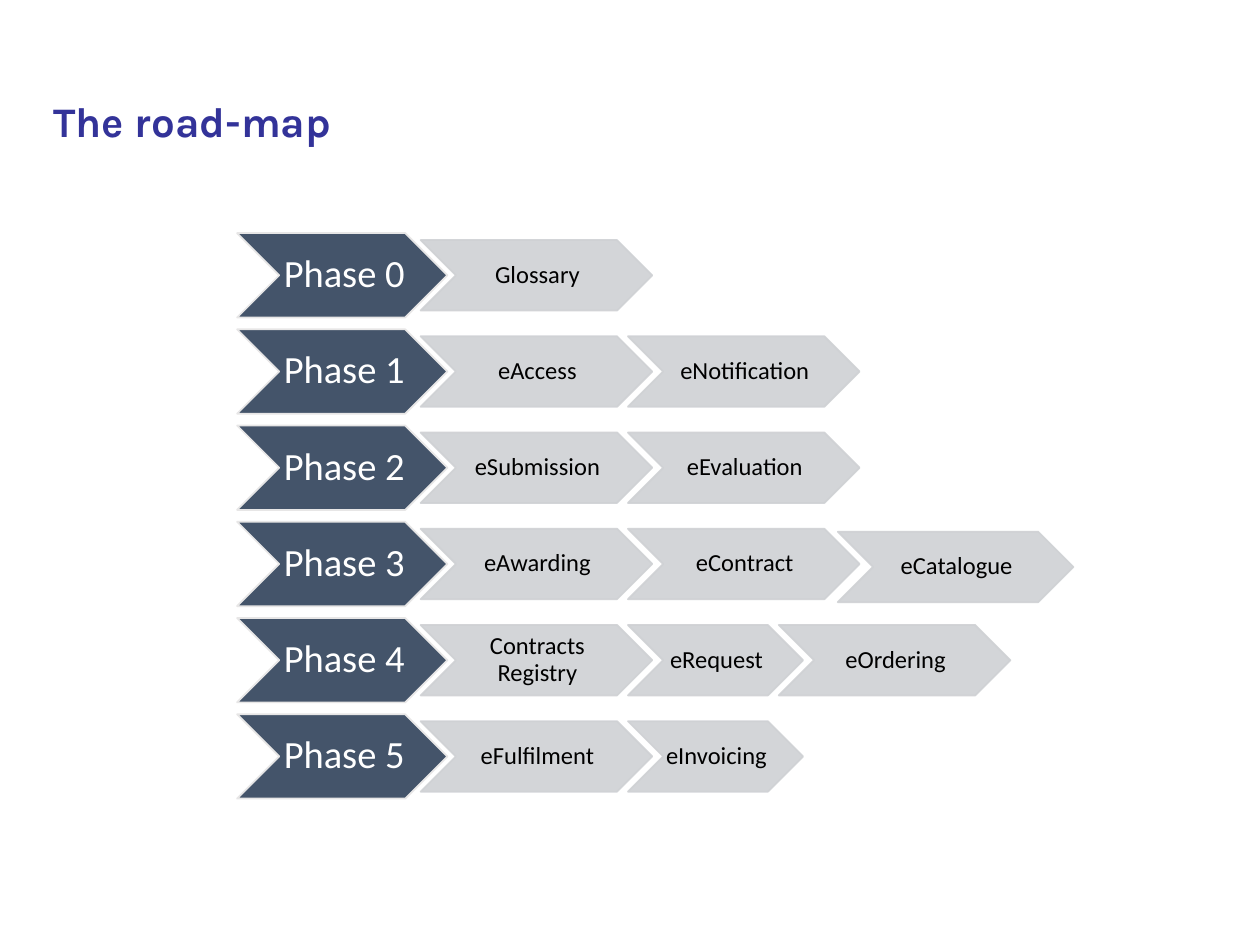
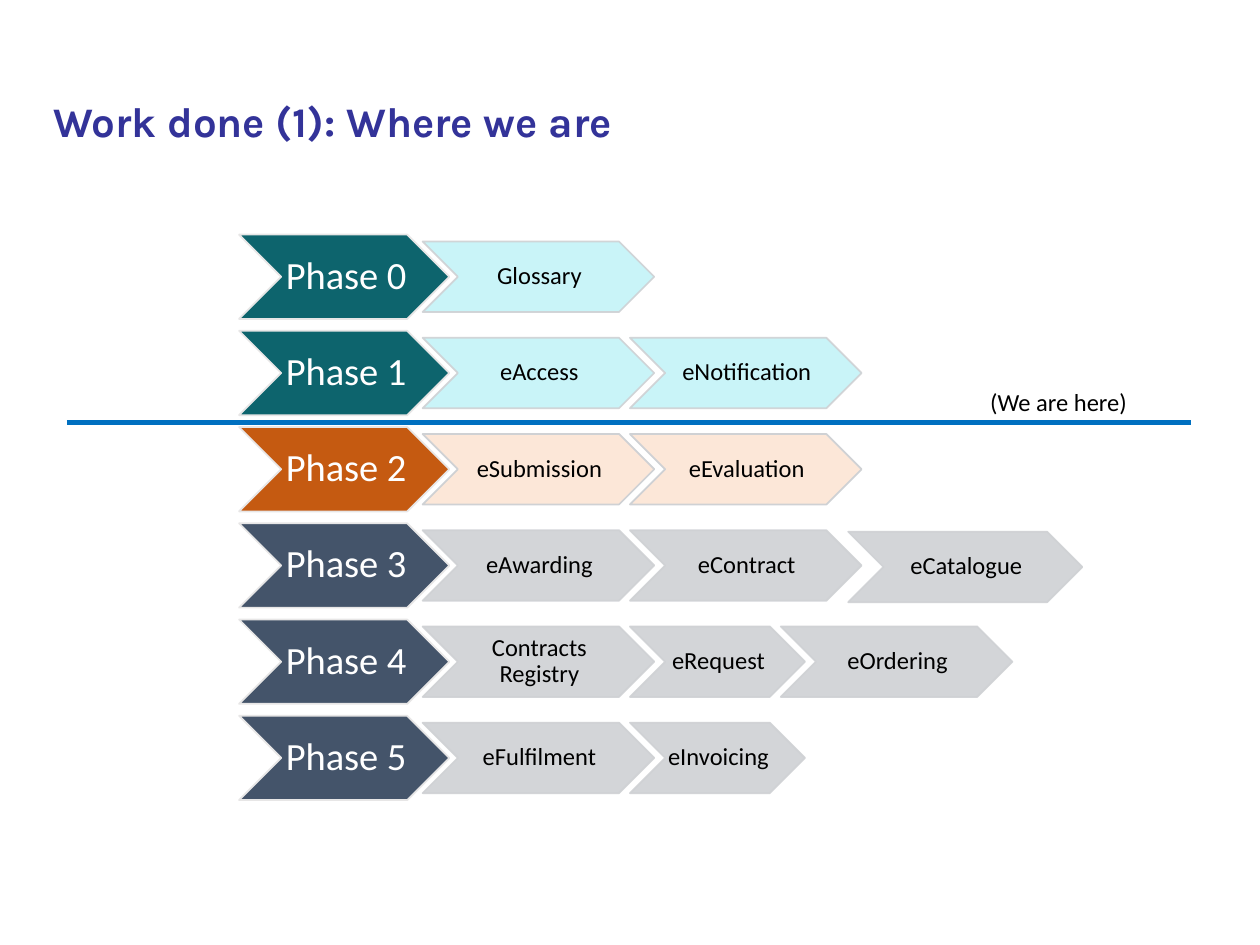
from dataclasses import dataclass

from lxml import etree
from pptx import Presentation
from pptx import util as u
from pptx.dml.color import RGBColor
from pptx.enum import shapes, text
from pptx.oxml.ns import qn


@dataclass(frozen=True)
class Tone:
    """Colours of one road-map row."""
    phase: str
    step: str
    step_opacity: int = 90


@dataclass(frozen=True)
class Theme:
    title_font: str = "Karla"
    body_font: str = "Calibri"
    title_size: int = 24
    phase_size: int = 22
    step_size: int = 14
    title: str = "333399"
    dark: str = "000000"
    light: str = "FFFFFF"
    phase_line: str = "E7E6E6"
    step_line: str = "CFD1D4"
    marker: str = "0070C0"
    planned: Tone = Tone("44546A", "CFD1D4")
    done: Tone = Tone("0D646D", "C4F3F8")
    current: Tone = Tone("C55A11", "FCE7D8", 100)


THEME = Theme()

# Road-map grid, in centimetres
ROW_PITCH = 1.94
PHASE_WIDTH, PHASE_HEIGHT = 4.24, 1.7
STEP_WIDTH, SHORT_STEP_WIDTH, STEP_HEIGHT = 4.67, 3.53, 1.42
STEP_START = 3.7       # from the left of the phase to its first step
STEP_OVERLAP = 0.49
STEP_DROP = (PHASE_HEIGHT - STEP_HEIGHT) / 2

PHASES = [
    ["Glossary"],
    ["eAccess", "eNotification"],
    ["eSubmission", "eEvaluation"],
    ["eAwarding", "eContract", "eCatalogue"],
    ["Contracts Registry", "eRequest", "eOrdering"],
    ["eFulfilment", "eInvoicing"],
]
SHORT_STEPS = {"eRequest", "eInvoicing"}


def write(shape, words, *, size, color, font=THEME.body_font, bold=False,
          align=None, anchor=text.MSO_ANCHOR.TOP, spacing=None,
          margins=(0, 0, 0, 0), wrap=True):
    """Put one formatted paragraph in a shape; margins are left, top, right, bottom."""
    frame = shape.text_frame
    frame.word_wrap = wrap
    frame.vertical_anchor = anchor
    (frame.margin_left, frame.margin_top,
     frame.margin_right, frame.margin_bottom) = map(u.Cm, margins)
    paragraph = frame.paragraphs[0]
    paragraph.alignment = align
    paragraph.line_spacing = spacing
    run = paragraph.add_run()
    run.text = words
    run.font.name = font
    run.font.size = u.Pt(size)
    run.font.bold = bold
    run.font.color.rgb = RGBColor.from_string(color)


def set_opacity(shape, percent):
    """Make the fill and the line of a shape partly transparent."""
    for color in shape._element.spPr.iter(qn("a:srgbClr")):
        etree.SubElement(color, qn("a:alpha")).set("val", str(percent * 1000))


def add_label(slide, words, left, top, width, height, **text_format):
    box = slide.shapes.add_textbox(*map(u.Cm, (left, top, width, height)))
    write(box, words, **text_format)


def add_title(slide, words):
    add_label(slide, words, 1.08, 1.93, 19.56, 1.17, size=THEME.title_size,
              color=THEME.title, font=THEME.title_font, bold=True)


def add_chevron(slide, words, left, top, width, height, *, fill, line, **text_format):
    chevron = slide.shapes.add_shape(
        shapes.MSO_SHAPE.CHEVRON, *map(u.Cm, (left, top, width, height)))
    chevron.shadow.inherit = False
    chevron.fill.solid()
    chevron.fill.fore_color.rgb = RGBColor.from_string(fill)
    chevron.line.color.rgb = RGBColor.from_string(line)
    chevron.line.width = u.Pt(1)
    write(chevron, words, align=text.PP_ALIGN.CENTER,
          anchor=text.MSO_ANCHOR.MIDDLE, spacing=0.9, **text_format)
    return chevron


def add_phase(slide, words, left, top, tone):
    add_chevron(slide, words, left, top, PHASE_WIDTH, PHASE_HEIGHT,
                fill=tone.phase, line=THEME.phase_line, size=THEME.phase_size,
                color=THEME.light, margins=(0.08, 0.04, 0, 0.04))


def add_step(slide, words, left, top, width, tone):
    step = add_chevron(slide, words, left, top, width, STEP_HEIGHT,
                       fill=tone.step, line=THEME.step_line, size=THEME.step_size,
                       color=THEME.dark, margins=(0.04, 0.02, 0, 0.02))
    if tone.step_opacity < 100:
        set_opacity(step, tone.step_opacity)


def add_roadmap(slide, left, top, tones, catalogue):
    """Draw all phases; catalogue is the shift right, shift down and width of eCatalogue."""
    for index, (steps, tone) in enumerate(zip(PHASES, tones)):
        row_top = top + index * ROW_PITCH
        add_phase(slide, f"Phase {index}", left, row_top, tone)
        step_left = left + STEP_START
        for name in steps:
            right, down, width = 0, 0, STEP_WIDTH
            if name == "eCatalogue":
                right, down, width = catalogue
            elif name in SHORT_STEPS:
                width = SHORT_STEP_WIDTH
            add_step(slide, name, step_left + right,
                     row_top + STEP_DROP + down, width, tone)
            step_left += width - STEP_OVERLAP


def add_marker(slide, words, top):
    """Draw the progress line across the slide with its label above."""
    line = slide.shapes.add_connector(
        shapes.MSO_CONNECTOR.STRAIGHT, *map(u.Cm, (1.35, top, 24, top)))
    line.line.color.rgb = RGBColor.from_string(THEME.marker)
    line.line.width = u.Pt(3)
    etree.SubElement(line._element.spPr, qn("a:effectLst"))
    add_label(slide, words, 19.71, top - 0.84, 3.3, 0.86, size=THEME.step_size,
              color=THEME.dark, margins=(0.25, 0.13, 0.25, 0.13), wrap=False)


def add_slide(presentation, title):
    slide = presentation.slides.add_slide(presentation.slide_layouts[6])
    add_title(slide, title)
    return slide


def main():
    presentation = Presentation()
    presentation.slide_width = u.Cm(25.4)
    presentation.slide_height = u.Cm(19.05)

    # Road-map
    slide = add_slide(presentation, "The road-map")
    add_roadmap(slide, 4.78, 4.7, [THEME.planned] * len(PHASES),
                catalogue=(0.05, 0.06, 4.75))

    # Progress on the road-map
    slide = add_slide(presentation, "Work done (1): Where we are")
    tones = [THEME.done] * 2 + [THEME.current] + [THEME.planned] * 3
    add_roadmap(slide, 4.82, 4.73, tones, catalogue=(0.22, 0.03, 4.72))
    add_marker(slide, "(We are here)", 8.51)

    presentation.save("out.pptx")


if __name__ == "__main__":
    main()
